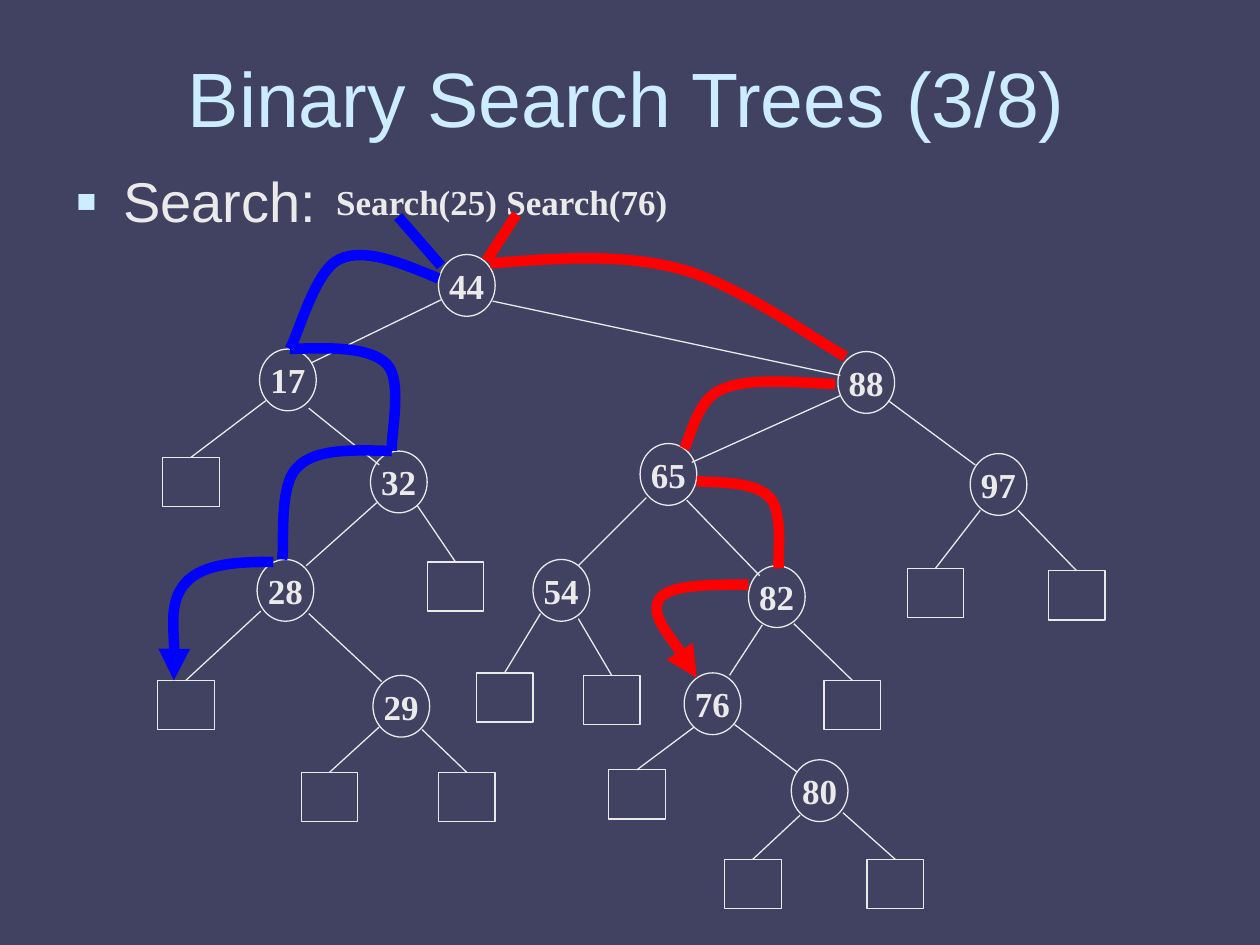
from lxml.etree import SubElement
from pptx import Presentation
from pptx.dml.color import RGBColor
from pptx.enum.shapes import MSO_CONNECTOR, MSO_SHAPE
from pptx.enum.text import MSO_ANCHOR, MSO_AUTO_SIZE, PP_ALIGN
from pptx.oxml.ns import qn
from pptx.util import Inches, Pt

BACKGROUND = RGBColor(0x41, 0x41, 0x61)
PALE = RGBColor(0xEA, 0xEA, 0xEA)
SKY = RGBColor(0xCC, 0xEC, 0xFF)
BLUE = RGBColor(0x00, 0x00, 0xFF)
RED = RGBColor(0xFF, 0x00, 0x00)

# The slide is a grid of 100 columns by 75 rows of square cells
WIDTH, HEIGHT = Inches(10), Inches(7.5)
CELL = WIDTH / 100
NODE_SIZE = (4.5, 4.9)
LEAF_SIZE = (4.5, 3.9)
THIN, THICK = Pt(0.75), Pt(6)
SANS, SERIF = "Arial", "Times New Roman"

# Key: left, top of its circle
NODES = {
    44: (34.8, 20.2), 32: (29.4, 35.8), 65: (50.8, 35.2), 88: (66.5, 27.9),
    28: (20.4, 44.4), 17: (20.6, 27.7), 80: (62.8, 60.3), 76: (54.3, 53.4),
    97: (77, 36), 82: (59.4, 44.9), 54: (42.3, 44.4), 29: (29.6, 53.6),
}

# Start and end of each edge between two keys
KEY_EDGES = [
    ((35, 23.8), (24.7, 28.8)), ((39.1, 23.9), (66.7, 29.8)),
    ((24.5, 32.4), (30.1, 36.9)), ((29.9, 39.9), (24.3, 44.9)),
    ((24.5, 48.7), (30.3, 54.1)), ((66.7, 31.4), (54.9, 36.7)),
    ((70.5, 31.8), (77.4, 36.9)), ((54.5, 39.7), (60.3, 45.7)),
    ((51.3, 39.5), (45.9, 44.9)), ((60.5, 49.6), (57.9, 53.6)),
    ((58.3, 57.5), (63.3, 61.3)),
]

# Left, top of each empty leaf, and where its edge leaves the parent
LEAVES = [
    ((72, 45.1), (77.8, 40.5)), ((48.3, 61.1), (55.1, 57.7)),
    ((65.4, 54), (63, 49.5)), ((83.2, 45.3), (80.8, 40.5)),
    ((12.5, 54), (20.7, 48.5)), ((12.9, 36.3), (21.1, 31.8)),
    ((23.9, 61.3), (30.1, 57.7)), ((34.8, 61.3), (33.5, 57.9)),
    ((33.9, 44.6), (33.1, 40.1)), ((37.8, 53.4), (42.9, 48.7)),
    ((46.3, 53.6), (45.9, 49.1)), ((57.5, 68.2), (63.5, 64.7)),
    ((68.8, 68.2), (66.9, 64.5)),
]

# Each search: label position, entry line, then curves as a start point
# followed by Bezier triples (control, control, end)
SEARCHES = [
    ("Search(25)", (25.7, 13.8), BLUE, ((31.6, 17.2), (35, 21.1)), [
        [(34.8, 22.1), (31.9, 20.9), (28.9, 19.6), (26.9, 20.6),
         (25, 21.5), (23.7, 26.5), (23, 27.7)],
        [(23, 27.7), (26.2, 27.6), (29.3, 27.5), (30.7, 28.9),
         (32, 30.2), (31, 34.6), (31.1, 35.8)],
        [(31.1, 35.8), (28, 35.7), (25, 35.6), (23.6, 37.1),
         (22.1, 38.5), (22.6, 43.2), (22.4, 44.4)],
        [(21.7, 44.6), (18.9, 44.6), (16.1, 44.7), (14.7, 46.3),
         (13.4, 47.8), (14, 52.7), (13.8, 54)],
    ]),
    ("Search(76)", (39.2, 13.8), RED, ((41, 17), (38.6, 20.7)), [
        [(38.9, 20.9), (44, 20.5), (49.1, 20.1), (53.8, 21.3),
         (58.5, 22.5), (64.9, 27.1), (67.1, 28.3)],
        [(66.3, 30.5), (62.8, 30.3), (59.3, 30), (57.3, 30.9),
         (55.3, 31.7), (54.8, 34.8), (54.3, 35.6)],
        [(55.3, 38.2), (57.6, 38.3), (60, 38.3), (61.1, 39.5),
         (62.2, 40.7), (61.7, 44.2), (61.8, 45.1)],
        [(59.4, 46.4), (56.2, 46.4), (53, 46.4), (52.3, 47.6),
         (51.6, 48.8), (54.8, 52.7), (55.3, 53.8)],
    ]),
]


def cells(*lengths):
    return [round(length * CELL) for length in lengths]


def style_text(paragraph, text, size, face, color, bold=False):
    paragraph.text = text
    font = paragraph.font
    font.size, font.name, font.bold = Pt(size), face, bold
    font.color.rgb = color


def add_text(slide, place, text, size, face, color, bold=False, wrap=True):
    frame = slide.shapes.add_textbox(*cells(*place)).text_frame
    frame.word_wrap = wrap
    style_text(frame.paragraphs[0], text, size, face, color, bold)
    return frame


def add_outline(slide, preset, position, size):
    outline = slide.shapes.add_shape(preset, *cells(*position, *size))
    outline.shadow.inherit = False
    outline.fill.background()
    outline.line.color.rgb, outline.line.width = PALE, THIN
    return outline


def add_key(slide, key, position):
    circle = add_outline(slide, MSO_SHAPE.OVAL, position, NODE_SIZE)
    frame = circle.text_frame
    frame.word_wrap = False
    frame.vertical_anchor = MSO_ANCHOR.MIDDLE
    frame.paragraphs[0].alignment = PP_ALIGN.CENTER
    style_text(frame.paragraphs[0], str(key), 20, SERIF, PALE, True)


def add_line(slide, start, end, color=PALE, width=THIN):
    line = slide.shapes.add_connector(
        MSO_CONNECTOR.STRAIGHT, *cells(*start, *end))
    line.line.color.rgb, line.line.width = color, width
    SubElement(line.element.spPr, qn("a:effectLst"))
    return line


def add_curve(slide, points, color, arrow):
    start, *rest = [cells(*point) for point in points]
    builder = slide.shapes.build_freeform(*start)
    builder.add_line_segments(rest, close=False)
    curve = builder.convert_to_shape()
    curve.shadow.inherit = False
    curve.fill.background()
    curve.line.color.rgb, curve.line.width = color, THICK

    # Turn every three straight segments into one Bezier segment
    outline = next(curve.element.iter(qn("a:path")))
    segments = outline.findall(qn("a:lnTo"))
    for first in range(0, len(segments), 3):
        bezier = SubElement(outline, qn("a:cubicBezTo"))
        for segment in segments[first:first + 3]:
            bezier.append(segment[0])
            outline.remove(segment)
    if arrow:
        ln = curve.element.spPr.find(qn("a:ln"))
        SubElement(ln, qn("a:tailEnd"), type="triangle")


def add_heading(slide):
    title = add_text(slide, (13.8, 1.4, 71.9, 12.5),
                     "Binary Search Trees (3/8)", 44, SANS, SKY)
    title.vertical_anchor = MSO_ANCHOR.MIDDLE
    title.paragraphs[0].alignment = PP_ALIGN.CENTER


def add_bullet(slide):
    body = add_text(slide, (5, 12.7, 90, 49.2), "Search:", 32, SANS, PALE)
    paragraph = body.paragraphs[0]
    paragraph.space_before = Pt(8)
    properties = paragraph._p.get_or_add_pPr()
    indent = Inches(0.38)
    properties.set("marL", str(indent))
    properties.set("indent", str(-indent))
    # Bullet settings stand before the default run properties
    defaults = properties.find(qn("a:defRPr"))
    color = SubElement(properties, qn("a:buClr"))
    SubElement(color, qn("a:srgbClr"), val=str(SKY))
    SubElement(properties, qn("a:buSzPct"), val="115000")
    SubElement(properties, qn("a:buFont"), typeface=SANS)
    SubElement(properties, qn("a:buChar"), char="▪")
    properties.append(defaults)


def main():
    deck = Presentation()
    deck.slide_width, deck.slide_height = WIDTH, HEIGHT
    slide = deck.slides.add_slide(deck.slide_layouts[6])
    slide.background.fill.solid()
    slide.background.fill.fore_color.rgb = BACKGROUND

    # Tree
    for key, position in NODES.items():
        add_key(slide, key, position)
    for start, end in KEY_EDGES:
        add_line(slide, start, end)
    for position, start in LEAVES:
        leaf = add_outline(slide, MSO_SHAPE.RECTANGLE, position, LEAF_SIZE)
        add_line(slide, start, position).end_connect(leaf, 0)

    # Search routes
    for label, position, color, entry, curves in SEARCHES:
        frame = add_text(slide, (*position, 14.8, 4.4), label, 20, SERIF,
                         PALE, bold=True, wrap=False)
        frame.auto_size = MSO_AUTO_SIZE.SHAPE_TO_FIT_TEXT
        add_line(slide, *entry, color, THICK)
        for curve in curves:
            add_curve(slide, curve, color, arrow=curve is curves[-1])

    # Title and body
    add_heading(slide)
    add_bullet(slide)
    deck.save("out.pptx")


if __name__ == "__main__":
    main()
